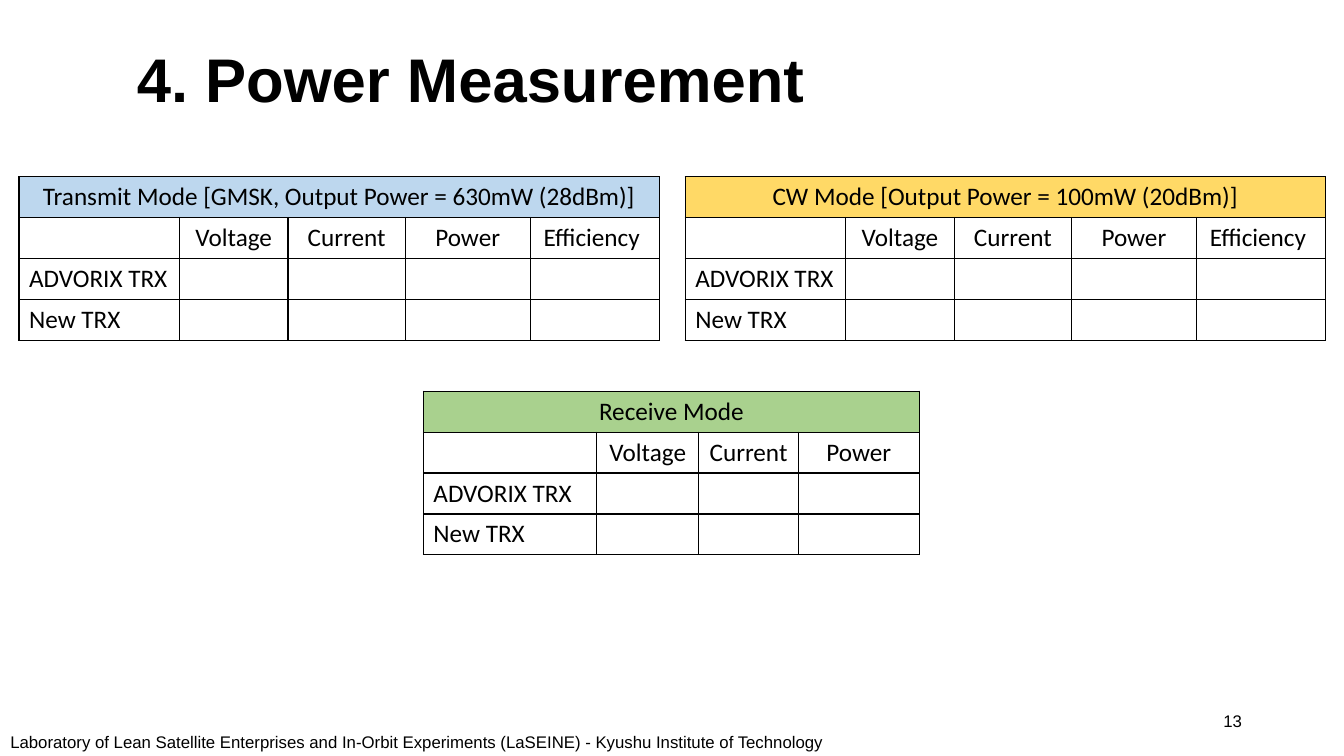
from dataclasses import dataclass

from lxml import etree
from pptx import Presentation
from pptx import util as u
from pptx.dml import color
from pptx.enum import text
from pptx.oxml import ns


@dataclass(frozen=True)
class Theme:
    """Hold the colours, fonts and type sizes of the slide."""
    ink: str = "000000"
    transmit: str = "BDD7EE"
    cw: str = "FFD966"
    receive: str = "A9D18E"
    heading_font: str = "Arial"
    table_font: str = "Calibri"
    title_size: int = 44
    table_size: int = 18
    small_size: int = 12
    border: float = 1


THEME = Theme()
ROW_HEIGHT = 1.03
DEVICES = ["ADVORIX TRX", "New TRX"]
WIDE_COLUMNS = {"": 4.04, "Voltage": 2.74, "Current": 2.95, "Power": 3.15,
                "Efficiency ": 3.25}
RECEIVE_COLUMNS = {"": 4.37, "Voltage": 2.57, "Current": 2.51, "Power": 3.05}


def apply_format(target, values):
    """Set each attribute named in values on the target."""
    for name, value in values.items():
        setattr(target, name, value)


def write_text(frame, wording, font, size, bold=False, **paragraph_format):
    """Write one formatted paragraph into a text frame."""
    paragraph = frame.paragraphs[0]
    apply_format(paragraph, paragraph_format)
    run = paragraph.add_run()
    run.text = wording
    apply_format(run.font, {"name": font, "size": u.Pt(size), "bold": bold})
    run.font.color.rgb = color.RGBColor.from_string(THEME.ink)


def add_label(slide, box, frame_format):
    """Add a wrapping text box and return its text frame."""
    frame = slide.shapes.add_textbox(*map(u.Cm, box)).text_frame
    apply_format(frame, {"word_wrap": True, **frame_format})
    return frame


def add_title(slide, box):
    """Place the slide title in its box."""
    frame = add_label(slide, box, {"vertical_anchor": text.MSO_ANCHOR.MIDDLE})
    write_text(frame, "4. Power Measurement", THEME.heading_font,
               THEME.title_size, bold=True, line_spacing=0.9)


def add_footer(slide, box):
    """Place the laboratory name in its box."""
    frame = add_label(slide, box, {"margin_left": u.Cm(0.03), "margin_right": 0,
                                   "margin_top": u.Cm(0.08), "margin_bottom": 0})
    write_text(frame, "Laboratory of Lean Satellite Enterprises and In-Orbit "
               "Experiments (LaSEINE) - Kyushu Institute of Technology",
               THEME.heading_font, THEME.small_size)


def add_page_number(slide, box):
    """Place the page number at the right of its box."""
    frame = add_label(slide, box, {"vertical_anchor": text.MSO_ANCHOR.MIDDLE})
    write_text(frame, "13", THEME.heading_font, THEME.small_size,
               alignment=text.PP_ALIGN.RIGHT)


def add_borders(cell):
    """Draw a solid line on each side of a cell."""
    properties = cell._tc.get_or_add_tcPr()
    for position, side in enumerate(("lnL", "lnR", "lnT", "lnB")):
        line = etree.Element(ns.qn(f"a:{side}"), w=str(u.Pt(THEME.border)))
        fill = etree.SubElement(line, ns.qn("a:solidFill"))
        etree.SubElement(fill, ns.qn("a:srgbClr"), val=THEME.ink)
        properties.insert(position, line)


def add_mode_table(slide, corner, heading, fill, columns):
    """Place the measurement table of one mode at its top left corner."""
    rows = [[heading], list(columns), *([device] for device in DEVICES)]
    size = (sum(columns.values()), ROW_HEIGHT * len(rows))
    table = slide.shapes.add_table(len(rows), len(columns),
                                   *map(u.Cm, (*corner, *size))).table
    apply_format(table, {"first_row": False, "horz_banding": False})
    for column, width in zip(table.columns, columns.values()):
        column.width = u.Cm(width)
    for row in table.rows:
        row.height = u.Cm(ROW_HEIGHT)
    for cell in table.iter_cells():
        cell.fill.background()
        add_borders(cell)
    table.cell(0, 0).merge(table.cell(0, len(columns) - 1))
    table.cell(0, 0).fill.solid()
    table.cell(0, 0).fill.fore_color.rgb = color.RGBColor.from_string(fill)
    for row_index, words in enumerate(rows):
        align = text.PP_ALIGN.CENTER if row_index < 2 else text.PP_ALIGN.LEFT
        for column_index, word in enumerate(words):
            if word:
                write_text(table.cell(row_index, column_index).text_frame, word,
                           THEME.table_font, THEME.table_size, alignment=align)


def main():
    """Build the power measurement slide and save it."""
    presentation = Presentation()
    apply_format(presentation, {"slide_width": u.Cm(33.87),
                                "slide_height": u.Cm(19.05)})
    slide = presentation.slides.add_slide(presentation.slide_layouts[6])
    add_footer(slide, (0.23, 18.36, 20.73, 0.58))
    add_title(slide, (3.2, 1.02, 28.35, 2.11))
    add_page_number(slide, (23.93, 17.65, 7.62, 1.02))
    add_mode_table(slide, (10.67, 9.86), "Receive Mode", THEME.receive,
                   RECEIVE_COLUMNS)
    add_mode_table(slide, (0.48, 4.45),
                   "Transmit Mode [GMSK, Output Power = 630mW (28dBm)]",
                   THEME.transmit, WIDE_COLUMNS)
    add_mode_table(slide, (17.27, 4.45), "CW Mode [Output Power = 100mW (20dBm)]",
                   THEME.cw, WIDE_COLUMNS)
    presentation.save("out.pptx")


if __name__ == "__main__":
    main()
